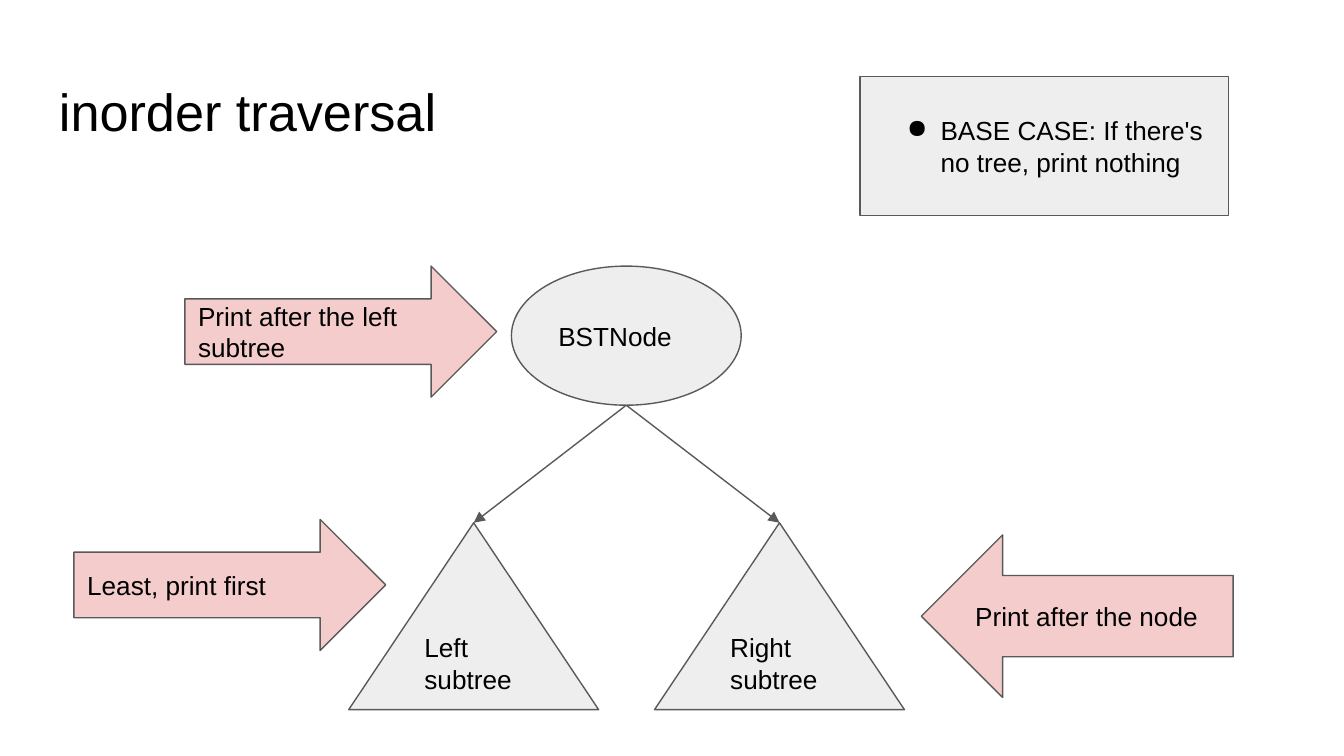
from dataclasses import dataclass

import lxml.etree
import pptx
import pptx.dml.color
import pptx.enum.shapes
import pptx.enum.text
import pptx.oxml.ns
import pptx.util

SHAPE = pptx.enum.shapes.MSO_SHAPE
ANCHOR = pptx.enum.text.MSO_ANCHOR
COLUMNS, ROWS = 100, 56.25


@dataclass(frozen=True)
class Theme:
    font: str = "Arial"
    title_size: float = 28
    body_size: float = 14
    line_width: float = 0.75
    inset: float = 0.1
    text: str = "000000"
    outline: str = "595959"
    structure: str = "EEEEEE"
    step: str = "F4CCCC"


@dataclass(frozen=True)
class Block:
    kind: SHAPE
    text: str
    column: float
    row: float
    columns: float
    rows: float
    fill: str
    bullet: bool = False


THEME = Theme()
NODE = Block(SHAPE.OVAL, "BSTNode", 38.05, 19.8, 17.1, 10.35, THEME.structure)
SUBTREES = [
    Block(SHAPE.ISOSCELES_TRIANGLE, text, column, 38.9, 18.6, 13.9, THEME.structure)
    for text, column in (("Left subtree", 25.95), ("Right subtree", 48.7))
]
BASE_CASE = Block(
    SHAPE.RECTANGLE, "BASE CASE: If there's no tree, print nothing",
    64, 5.7, 27.4, 10.35, THEME.structure, bullet=True,
)
STEPS = [
    Block(SHAPE.RIGHT_ARROW, "Least, print first", 5.5, 38.65, 23.2, 9.75, THEME.step),
    Block(SHAPE.RIGHT_ARROW, "Print after the left subtree", 13.75, 19.8, 23.2, 9.75, THEME.step),
    Block(SHAPE.LEFT_ARROW, "Print after the node", 68.55, 39.8, 23.2, 12.1, THEME.step),
]

presentation = pptx.Presentation()
presentation.slide_width = pptx.util.Inches(10)
presentation.slide_height = pptx.util.Inches(5.625)
slide = presentation.slides.add_slide(presentation.slide_layouts[6])


def color(value: str) -> pptx.dml.color.RGBColor:
    return pptx.dml.color.RGBColor.from_string(value)


def across(columns: float) -> int:
    return round(presentation.slide_width * columns / COLUMNS)


def down(rows: float) -> int:
    return round(presentation.slide_height * rows / ROWS)


def set_text(shape, text: str, size: float, anchor: ANCHOR) -> None:
    frame = shape.text_frame
    frame.text = text
    frame.word_wrap = True
    frame.vertical_anchor = anchor
    inset = pptx.util.Inches(THEME.inset)
    frame.margin_left = frame.margin_right = inset
    frame.margin_top = frame.margin_bottom = inset
    paragraph = frame.paragraphs[0]
    paragraph.alignment = pptx.enum.text.PP_ALIGN.LEFT
    font = paragraph.runs[0].font
    font.name = THEME.font
    font.size = pptx.util.Pt(size)
    font.color.rgb = color(THEME.text)


def add_bullet(shape) -> None:
    properties = shape.text_frame.paragraphs[0]._p.get_or_add_pPr()
    properties.set("marL", str(pptx.util.Inches(0.5)))
    properties.set("indent", str(pptx.util.Inches(-0.25)))
    bullet = lxml.etree.SubElement(properties, pptx.oxml.ns.qn("a:buChar"))
    bullet.set("char", "●")


def add_title(text: str) -> None:
    title = slide.shapes.add_textbox(across(3.4), down(4.87), across(93.2), down(6.3))
    set_text(title, text, THEME.title_size, ANCHOR.TOP)


def add_block(block: Block) -> None:
    shape = slide.shapes.add_shape(
        block.kind, across(block.column), down(block.row), across(block.columns), down(block.rows)
    )
    shape.shadow.inherit = False
    shape.fill.solid()
    shape.fill.fore_color.rgb = color(block.fill)
    shape.line.color.rgb = color(THEME.outline)
    shape.line.width = pptx.util.Pt(THEME.line_width)
    set_text(shape, block.text, THEME.body_size, ANCHOR.MIDDLE)
    if block.bullet:
        add_bullet(shape)


def add_branch(parent: Block, child: Block) -> None:
    branch = slide.shapes.add_connector(
        pptx.enum.shapes.MSO_CONNECTOR.STRAIGHT,
        across(parent.column + parent.columns / 2), down(parent.row + parent.rows),
        across(child.column + child.columns / 2), down(child.row),
    )
    branch.line.color.rgb = color(THEME.outline)
    branch.line.width = pptx.util.Pt(THEME.line_width)
    arrowhead = lxml.etree.SubElement(branch.line._get_or_add_ln(), pptx.oxml.ns.qn("a:tailEnd"))
    for name, value in (("type", "triangle"), ("w", "med"), ("len", "med")):
        arrowhead.set(name, value)
    lxml.etree.SubElement(branch._element.spPr, pptx.oxml.ns.qn("a:effectLst"))


add_title("inorder traversal")
add_block(NODE)
for subtree in SUBTREES:
    add_branch(NODE, subtree)
for block in [*SUBTREES, BASE_CASE, *STEPS]:
    add_block(block)

presentation.save("out.pptx")
